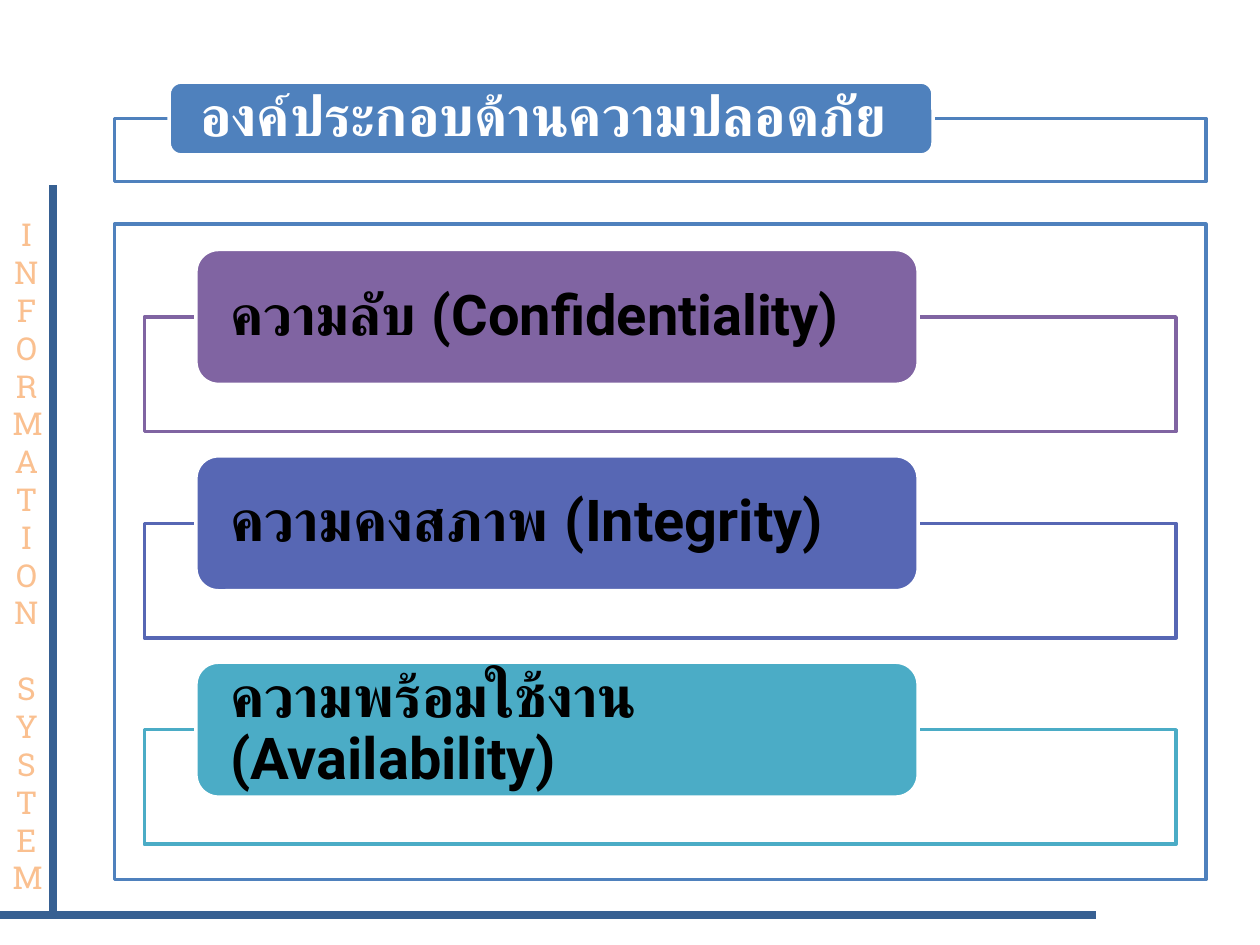
from lxml.etree import SubElement
from pptx import Presentation
from pptx.dml.color import RGBColor
from pptx.enum.shapes import MSO_CONNECTOR as Line, MSO_SHAPE as Shape
from pptx.enum.text import MSO_ANCHOR as Anchor, MSO_AUTO_SIZE as Auto, PP_ALIGN as Align
from pptx.oxml.ns import qn
from pptx.util import Cm, Pt

WHITE = RGBColor(0xFF, 0xFF, 0xFF)
BLACK = RGBColor(0x00, 0x00, 0x00)
BLUE = RGBColor(0x4F, 0x81, 0xBD)
NAVY = RGBColor(0x37, 0x60, 0x92)
PEACH = RGBColor(0xFA, 0xC0, 0x90)
PURPLE = RGBColor(0x80, 0x64, 0xA2)
INDIGO = RGBColor(0x57, 0x67, 0xB4)
TEAL = RGBColor(0x4B, 0xAC, 0xC6)

ITEMS = [
    ("ความลับ (Confidentiality)", 32, PURPLE),
    ("ความคงสภาพ (Integrity)", 33, INDIGO),
    ("ความพร้อมใช้งาน (Availability)", 33, TEAL),
]


def add_box(slide, kind, left, top, width, height, fill, edge):
    box = slide.shapes.add_shape(kind, Cm(left), Cm(top), Cm(width), Cm(height))
    box.shadow.inherit = False
    box.fill.solid()
    box.fill.fore_color.rgb = fill
    box.line.color.rgb = edge
    box.line.width = Pt(2)
    return box


def add_rule(slide, left, top, right, bottom):
    rule = slide.shapes.add_connector(
        Line.STRAIGHT, Cm(left), Cm(top), Cm(right), Cm(bottom))
    rule.line.color.rgb = NAVY
    rule.line.width = Pt(4.5)
    SubElement(rule._element.spPr, qn("a:effectLst"))


def add_card(slide, left, top, width, height, tab, text, size, font, ink, hue):
    """Frame with a rounded tab, of height tab, centred on its top edge."""
    frame = add_box(slide, Shape.RECTANGLE, left, top, width, height, WHITE, hue)
    color = frame._element.spPr.find(qn("a:solidFill"))[0]
    SubElement(color, qn("a:alpha"), val="90000")

    label = add_box(slide, Shape.ROUNDED_RECTANGLE, left + width * 0.05,
                    top - tab / 2, width * 0.7, tab, hue, WHITE)
    body = label.text_frame
    body.word_wrap = True
    body.vertical_anchor = Anchor.MIDDLE
    body.margin_left = body.margin_right = Cm(0.56)
    body.margin_top = body.margin_bottom = 0
    para = body.paragraphs[0]
    para.text = text
    para.alignment = Align.LEFT
    para.line_spacing = 0.9
    para.font.name = font
    para.font.size = Pt(size)
    para.font.bold = True
    para.font.color.rgb = ink


def add_panel(slide, left, top, width, height):
    add_box(slide, Shape.RECTANGLE, left, top, width, height, WHITE, BLUE)
    for row, (text, size, hue) in enumerate(ITEMS):
        add_card(slide, left + 0.6, top + 1.87 + row * 4.16, width - 1.2, 2.31,
                 2.72, text, size, "Roboto", BLACK, hue)


def add_side(slide, left, top, width, height):
    """Words set one letter to a line, a line apart."""
    box = slide.shapes.add_textbox(Cm(left), Cm(top), Cm(width), Cm(height))
    body = box.text_frame
    body.word_wrap = False
    body.auto_size = Auto.SHAPE_TO_FIT_TEXT
    first, second = "INFORMATION", "SYSTEM"
    for spot, letter in enumerate(first + second):
        para = body.add_paragraph() if spot else body.paragraphs[0]
        para.text = letter
        para.alignment = Align.CENTER
        para.font.name = "Roboto Slab"
        para.font.size = Pt(18)
        para.font.color.rgb = PEACH
        if spot == len(first):
            para.space_before = Pt(21.8)


def main():
    deck = Presentation()
    deck.slide_width, deck.slide_height = Cm(25.4), Cm(19.05)
    slide = deck.slides.add_slide(deck.slide_layouts[6])
    add_panel(slide, 2.31, 4.52, 22, 13.21)
    add_rule(slide, 0, 18.44, 22.1, 18.44)
    add_rule(slide, 1.07, 18.49, 1.07, 3.73)
    add_side(slide, 0, 4.22, 1.07, 14.1)
    add_card(slide, 2.31, 2.39, 22, 1.27, 1.47,
             "องค์ประกอบด้านความปลอดภัย", 32, "Calibri", WHITE, BLUE)
    deck.save("out.pptx")


if __name__ == "__main__":
    main()
